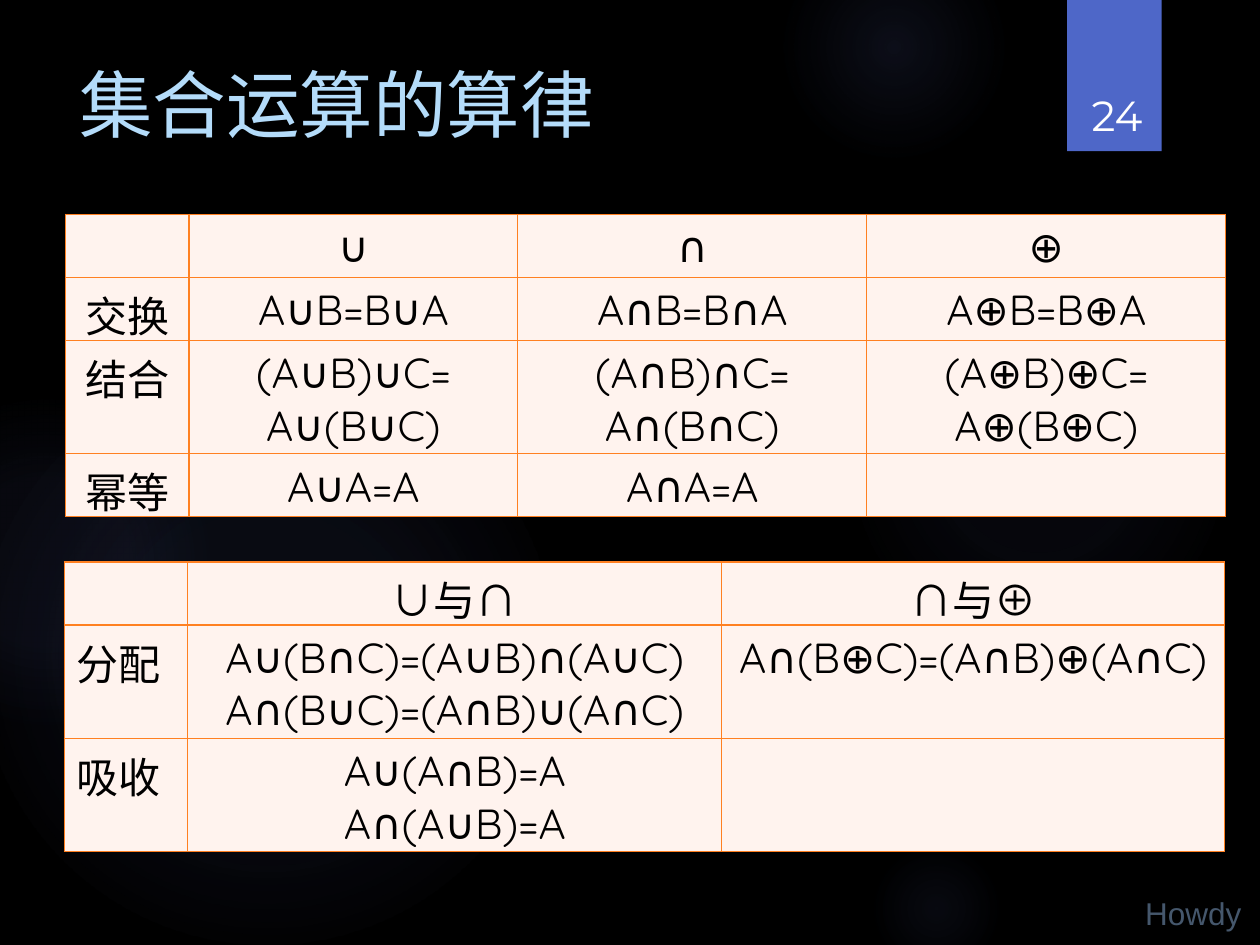
from lxml.etree import SubElement
from pptx import Presentation
from pptx.dml.color import RGBColor
from pptx.enum.shapes import MSO_SHAPE
from pptx.enum.text import MSO_ANCHOR, PP_ALIGN
from pptx.oxml import parse_xml
from pptx.oxml.ns import nsdecls, qn
from pptx.util import Inches, Pt

BLACK = RGBColor(0x00, 0x00, 0x00)
WHITE = RGBColor(0xFF, 0xFF, 0xFF)
GLOW = RGBColor(0x59, 0x68, 0xB0)
BADGE = RGBColor(0x4E, 0x67, 0xC8)
TITLE = RGBColor(0xB4, 0xDC, 0xFA)
FOOTER = RGBColor(0x45, 0x57, 0x6C)
CELL = RGBColor(0xFF, 0xF3, 0xEE)
BORDER = RGBColor(0xFF, 0x80, 0x21)

LABEL_COLUMN = 0.98
HANGING = 0.38
ONE_LINE, TWO_LINES = 0.5, 0.9

# left, top, diameter, then (position, opacity) stops in percent
GLOWS = [
    (6.7, 2.12, 3.08, [(0, 7), (36, 6), (69, 0)]),
    (6.22, -0.5, 1.75, [(0, 14), (36, 7), (73, 0)]),
    (6.89, 6.67, 1.08, [(0, 9), (36, 5), (66, 0)]),
    (-0.17, 2.92, 4.58, [(0, 11), (36, 10), (75, 0)]),
    (-0.92, 3.17, 2.58, [(0, 8), (36, 8), (72, 0)]),
]

SINGLE_LAWS = [
    ["", "∪", "∩", "⊕"],
    ["交换", "A∪B=B∪A", "A∩B=B∩A", "A⊕B=B⊕A"],
    ["结合", "(A∪B)∪C=\nA∪(B∪C)", "(A∩B)∩C=\nA∩(B∩C)", "(A⊕B)⊕C=\nA⊕(B⊕C)"],
    ["幂等", "A∪A=A", "A∩A=A", ""],
]
PAIRED_LAWS = [
    ["", "∪与∩", "∩与⊕"],
    ["分配", "A∪(B∩C)=(A∪B)∩(A∪C)\nA∩(B∪C)=(A∩B)∪(A∩C)", "A∩(B⊕C)=(A∩B)⊕(A∩C)"],
    ["吸收", "A∪(A∩B)=A\nA∩(A∪B)=A", ""],
]


def write(frame, text, *, size, color, font="Quicksand", align=PP_ALIGN.LEFT,
          anchor=None, hanging=0, spacing=None):
    frame.text = text
    if anchor is not None:
        frame.vertical_anchor = anchor
    for paragraph in frame.paragraphs:
        paragraph.alignment = align
        if spacing:
            paragraph.line_spacing = spacing
        if hanging:
            properties = paragraph._p.get_or_add_pPr()
            properties.set("marL", str(Inches(hanging)))
            properties.set("indent", str(-Inches(hanging)))
        for run in paragraph.runs:
            run.font.size = Pt(size)
            run.font.name = font
            run.font.color.rgb = color


def add_glow(slide, left, top, diameter, stops):
    glow = slide.shapes.add_shape(MSO_SHAPE.OVAL, Inches(left), Inches(top),
                                  Inches(diameter), Inches(diameter))
    glow.shadow.inherit = False
    glow.line.fill.background()
    stop_xml = "".join(
        f'<a:gs pos="{position * 1000}"><a:srgbClr val="{GLOW}">'
        f'<a:alpha val="{opacity * 1000}"/></a:srgbClr></a:gs>'
        for position, opacity in stops)
    gradient = parse_xml(
        f'<a:gradFill {nsdecls("a")} rotWithShape="1"><a:gsLst>{stop_xml}</a:gsLst>'
        '<a:path path="circle"><a:fillToRect l="50000" t="50000" r="50000" b="50000"/>'
        '</a:path></a:gradFill>')
    glow._element.spPr.find(qn("a:prstGeom")).addnext(gradient)


def add_badge(slide):
    badge = slide.shapes.add_shape(MSO_SHAPE.RECTANGLE, Inches(8.47), 0,
                                   Inches(0.75), Inches(1.2))
    badge.shadow.inherit = False
    badge.fill.solid()
    badge.fill.fore_color.rgb = BADGE
    badge.line.fill.background()


def add_text(slide, text, left, top, width, height, *, wrap=True, **text_format):
    box = slide.shapes.add_textbox(Inches(left), Inches(top), Inches(width), Inches(height))
    box.text_frame.word_wrap = wrap
    write(box.text_frame, text, **text_format)


def style_cell(cell):
    properties = cell._tc.get_or_add_tcPr()
    for side in ("lnL", "lnR", "lnT", "lnB"):
        line = SubElement(properties, qn(f"a:{side}"), w=str(Pt(0.75)))
        SubElement(SubElement(line, qn("a:solidFill")), qn("a:srgbClr"), val=str(BORDER))
    cell.fill.solid()
    cell.fill.fore_color.rgb = CELL


def add_law_table(slide, laws, left, top, columns, rows, label_align):
    table = slide.shapes.add_table(len(rows), len(columns), Inches(left), Inches(top),
                                   Inches(sum(columns)), Inches(sum(rows))).table
    table.first_row = table.horz_banding = False
    for column, width in zip(table.columns, columns):
        column.width = Inches(width)
    for row, height, row_laws in zip(table.rows, rows, laws):
        row.height = Inches(height)
        for index, (cell, law) in enumerate(zip(row.cells, row_laws)):
            style_cell(cell)
            if law:
                write(cell.text_frame, law, size=24, color=BLACK, hanging=HANGING,
                      align=PP_ALIGN.CENTER if index else label_align)


def set_title(slide, text):
    title = slide.shapes.title
    title.left, title.top = Inches(0.53), Inches(0.5)
    title.width, title.height = Inches(7.72), Inches(1)
    write(title.text_frame, text, size=42, color=TITLE, anchor=MSO_ANCHOR.TOP, spacing=0.9)


def main():
    deck = Presentation()
    deck.slide_width, deck.slide_height = Inches(10), Inches(7.5)
    slide = deck.slides.add_slide(deck.slide_layouts[5])
    slide.background.fill.solid()
    slide.background.fill.fore_color.rgb = BLACK

    for glow in GLOWS:
        add_glow(slide, *glow)
    add_badge(slide)
    add_text(slide, "Howdy", 8.99, 7.05, 1.08, 0.4, wrap=False,
             size=18, color=FOOTER, font="Arial")
    set_title(slide, "集合运算的算律")
    add_text(slide, "24", 8.52, 0.32, 0.69, 0.84, size=24, color=WHITE,
             font="Montserrat", align=PP_ALIGN.CENTER, anchor=MSO_ANCHOR.BOTTOM)

    add_law_table(slide, SINGLE_LAWS, 0.52, 1.7, [LABEL_COLUMN, 2.61, 2.77, 2.85],
                  [ONE_LINE, ONE_LINE, TWO_LINES, ONE_LINE], PP_ALIGN.CENTER)
    add_law_table(slide, PAIRED_LAWS, 0.51, 4.46, [LABEL_COLUMN, 4.24, 3.99],
                  [ONE_LINE, TWO_LINES, TWO_LINES], PP_ALIGN.LEFT)
    deck.save("out.pptx")


if __name__ == "__main__":
    main()
